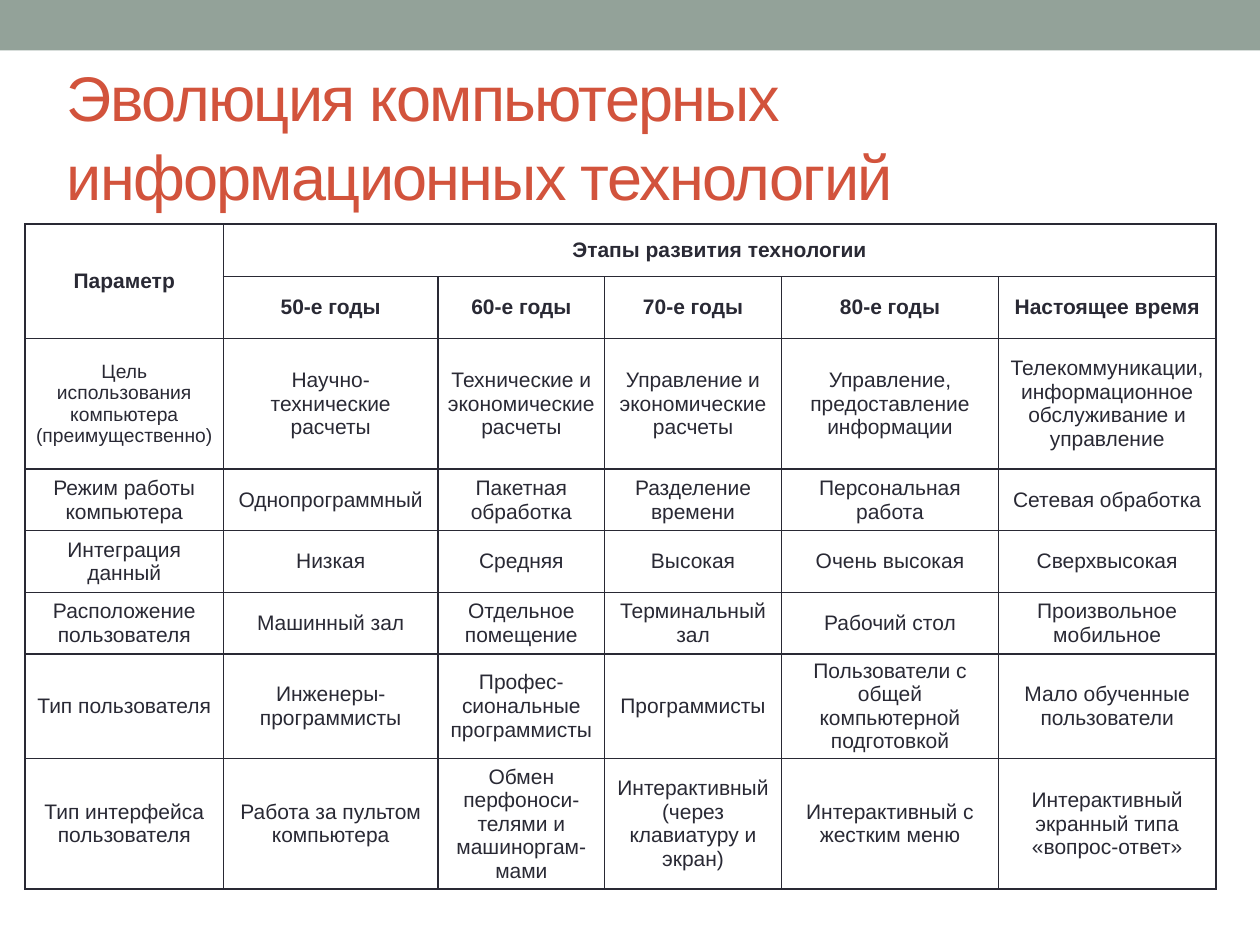
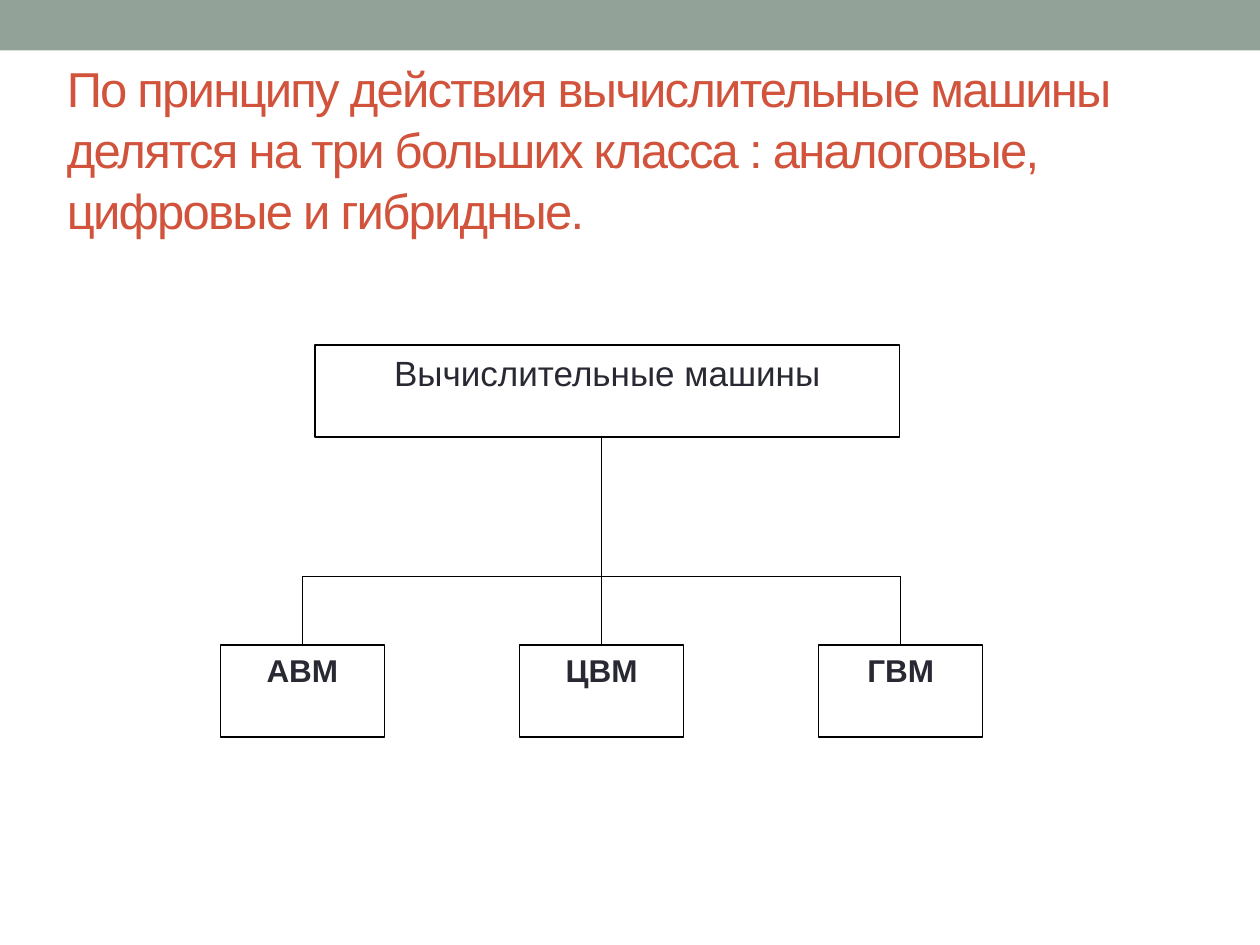
from dataclasses import dataclass

from lxml import etree
from pptx import Presentation
from pptx import util as u
from pptx.dml.color import RGBColor
from pptx.enum import shapes, text
from pptx.oxml import ns


@dataclass(frozen=True)
class Theme:
    font: str = "Arial"
    band: str = "93A299"
    title: str = "D2533C"
    ink: str = "292934"
    paper: str = "FFFFFF"
    outline: str = "000000"
    line_width: float = 0.75
    border_width: float = 1
    table_size: int = 12
    small_size: int = 11
    root_size: int = 20
    leaf_size: int = 18


@dataclass(frozen=True)
class Box:
    """Area in inches; area() takes shares of it."""
    left: float
    top: float
    width: float
    height: float

    def area(self, left, top, width, height):
        return Box(self.left + left * self.width, self.top + top * self.height,
                   width * self.width, height * self.height)

    def point(self, across, down):
        return (u.Inches(self.left + across * self.width),
                u.Inches(self.top + down * self.height))

    def lengths(self):
        return [u.Inches(value) for value in
                (self.left, self.top, self.width, self.height)]


THEME = Theme()
SLIDE = Box(0, 0, 10, 7.5)

COLUMN_WIDTHS = (1.57, 1.7, 1.32, 1.4, 1.72, 1.72)
ROW_HEIGHTS = (0.42, 0.49, 1.04, 0.49, 0.49, 0.49, 0.83, 1.04)
HEADER_ROWS = 2
EVOLUTION = (
    ("Параметр", "Этапы развития технологии", "", "", "", ""),
    ("", "50-е годы", "60-е годы", "70-е годы", "80-е годы", "Настоящее время"),
    ("Цель использования компьютера (преимущественно)",
     "Научно-технические расчеты", "Технические и экономические расчеты",
     "Управление и экономические расчеты",
     "Управление, предоставление информации",
     "Телекоммуникации, информационное обслуживание и управление"),
    ("Режим работы компьютера", "Однопрограммный", "Пакетная обработка",
     "Разделение времени", "Персональная работа", "Сетевая обработка"),
    ("Интеграция данный", "Низкая", "Средняя", "Высокая", "Очень высокая",
     "Сверхвысокая"),
    ("Расположение пользователя", "Машинный зал", "Отдельное помещение",
     "Терминальный зал", "Рабочий стол", "Произвольное мобильное"),
    ("Тип пользователя", "Инженеры-программисты",
     "Профес-сиональные программисты", "Программисты",
     "Пользователи с общей компьютерной подготовкой",
     "Мало обученные пользователи"),
    ("Тип интерфейса пользователя", "Работа за пультом компьютера",
     "Обмен перфоноси-телями и машиноргам-мами",
     "Интерактивный (через клавиатуру и экран)",
     "Интерактивный с жестким меню",
     "Интерактивный экранный типа «вопрос-ответ»"),
)


def color(value):
    return RGBColor.from_string(value)


def write(text_frame, content, size, ink, alignment, bold=False):
    text_frame.text = content
    paragraph = text_frame.paragraphs[0]
    paragraph.alignment = alignment
    for run in paragraph.runs:
        run.font.name = THEME.font
        run.font.size = u.Pt(size)
        run.font.bold = bold
        run.font.color.rgb = color(ink)
    return paragraph


def add_rectangle(parent, box, fill, outline=None):
    shape = parent.add_shape(shapes.MSO_SHAPE.RECTANGLE, *box.lengths())
    shape.shadow.inherit = False
    shape.fill.solid()
    shape.fill.fore_color.rgb = color(fill)
    if outline:
        shape.line.color.rgb = color(outline)
        shape.line.width = u.Pt(THEME.line_width)
    else:
        shape.line.fill.background()
    return shape


def add_line(parent, start, end):
    connector = parent.add_connector(shapes.MSO_CONNECTOR.STRAIGHT, *start, *end)
    connector.line.color.rgb = color(THEME.outline)
    connector.line.width = u.Pt(THEME.line_width)
    etree.SubElement(connector._element.spPr, ns.qn("a:effectLst"))
    return connector


def add_titled_slide(presentation, title, box, size, bottom_inset=0.05):
    slide = presentation.slides.add_slide(presentation.slide_layouts[5])
    # Top band
    add_rectangle(slide.shapes, SLIDE.area(0, 0, 1, 0.4 / 7.5), THEME.band)
    # Title
    shape = slide.shapes.title
    shape.left, shape.top, shape.width, shape.height = box.lengths()
    frame = shape.text_frame
    paragraph = write(frame, title, size, THEME.title, text.PP_ALIGN.LEFT)
    frame.word_wrap = True
    frame.auto_size = text.MSO_AUTO_SIZE.NONE
    frame.vertical_anchor = text.MSO_ANCHOR.MIDDLE
    frame.margin_bottom = u.Inches(bottom_inset)
    paragraph.line_spacing = 1.04
    for run in paragraph.runs:
        run.font._element.set("spc", "-100")
    return slide


def set_borders(cell):
    properties = cell._tc.get_or_add_tcPr()
    for position, side in enumerate(("lnL", "lnR", "lnT", "lnB")):
        line = etree.Element(ns.qn(f"a:{side}"), w=str(u.Pt(THEME.border_width)))
        fill = etree.SubElement(line, ns.qn("a:solidFill"))
        etree.SubElement(fill, ns.qn("a:srgbClr"), val=THEME.ink)
        properties.insert(position, line)


def add_evolution_table(slide, box):
    frame = slide.shapes.add_table(len(ROW_HEIGHTS), len(COLUMN_WIDTHS),
                                   *box.lengths())
    table = frame.table
    table.first_row = table.horz_banding = False
    for column, width in zip(table.columns, COLUMN_WIDTHS):
        column.width = u.Inches(box.width * width / sum(COLUMN_WIDTHS))
    for row, height in zip(table.rows, ROW_HEIGHTS):
        row.height = u.Inches(box.height * height / sum(ROW_HEIGHTS))
    # Cells
    for row_index, row in enumerate(EVOLUTION):
        for column_index, content in enumerate(row):
            cell = table.cell(row_index, column_index)
            is_purpose = (row_index, column_index) == (HEADER_ROWS, 0)
            write(cell.text_frame, content,
                  THEME.small_size if is_purpose else THEME.table_size,
                  THEME.ink, text.PP_ALIGN.CENTER, row_index < HEADER_ROWS)
            cell.vertical_anchor = text.MSO_ANCHOR.MIDDLE
            cell.margin_left = cell.margin_right = u.Inches(0.07)
            cell.margin_top = cell.margin_bottom = 0
            cell.fill.background()
            set_borders(cell)
    # Merged headings
    table.cell(0, 0).merge(table.cell(1, 0))
    table.cell(0, 1).merge(table.cell(0, len(COLUMN_WIDTHS) - 1))


def add_node(parent, box, label, size, bold=False):
    shape = add_rectangle(parent, box, THEME.paper, THEME.outline)
    write(shape.text_frame, label, size, THEME.ink, text.PP_ALIGN.CENTER, bold)
    shape.text_frame.word_wrap = True
    shape.text_frame.vertical_anchor = text.MSO_ANCHOR.TOP
    return shape


def add_class_tree(slide, box, root, leaves):
    parent = slide.shapes.add_group_shape().shapes
    node_height, leaf_width, bus = 0.235, 0.215, 0.59
    pitch = (1 - leaf_width) / (len(leaves) - 1)
    centers = [leaf_width / 2 + index * pitch for index in range(len(leaves))]
    # Boxes
    add_node(parent, box.area(0.124, 0, 0.767, node_height), root,
             THEME.root_size)
    nodes = [add_node(parent, box.area(center - leaf_width / 2, 1 - node_height,
                                       leaf_width, node_height),
                      leaf, THEME.leaf_size, True)
             for center, leaf in zip(centers, leaves)]
    # Branches: the middle one runs up to the root, the others to the bus
    add_line(parent, box.point(centers[0], bus), box.point(centers[-1], bus))
    for index, (center, node) in enumerate(zip(centers, nodes)):
        start = node_height if index == len(leaves) // 2 else bus
        branch = add_line(parent, box.point(center, start),
                          box.point(center, 1 - node_height))
        branch.end_connect(node, 0)


def main():
    presentation = Presentation()
    presentation.slide_width = u.Inches(SLIDE.width)
    presentation.slide_height = u.Inches(SLIDE.height)

    # Evolution table
    slide = add_titled_slide(
        presentation, "Эволюция компьютерных информационных технологий",
        SLIDE.area(0.043, 0.07, 0.9, 0.144), 36)
    add_evolution_table(slide, SLIDE.area(0.02, 0.237, 0.945, 0.704))

    # Classes of computing machines
    slide = add_titled_slide(
        presentation,
        "По принципу действия вычислительные машины делятся на три больших "
        "класса : аналоговые, цифровые и гибридные.",
        SLIDE.area(0.043, 0.112, 0.9, 0.144), 28, bottom_inset=0.46)
    add_class_tree(slide, SLIDE.area(0.175, 0.365, 0.605, 0.415),
                   "Вычислительные машины", ("АВМ", "ЦВМ", "ГВМ"))

    presentation.save("out.pptx")


if __name__ == "__main__":
    main()
